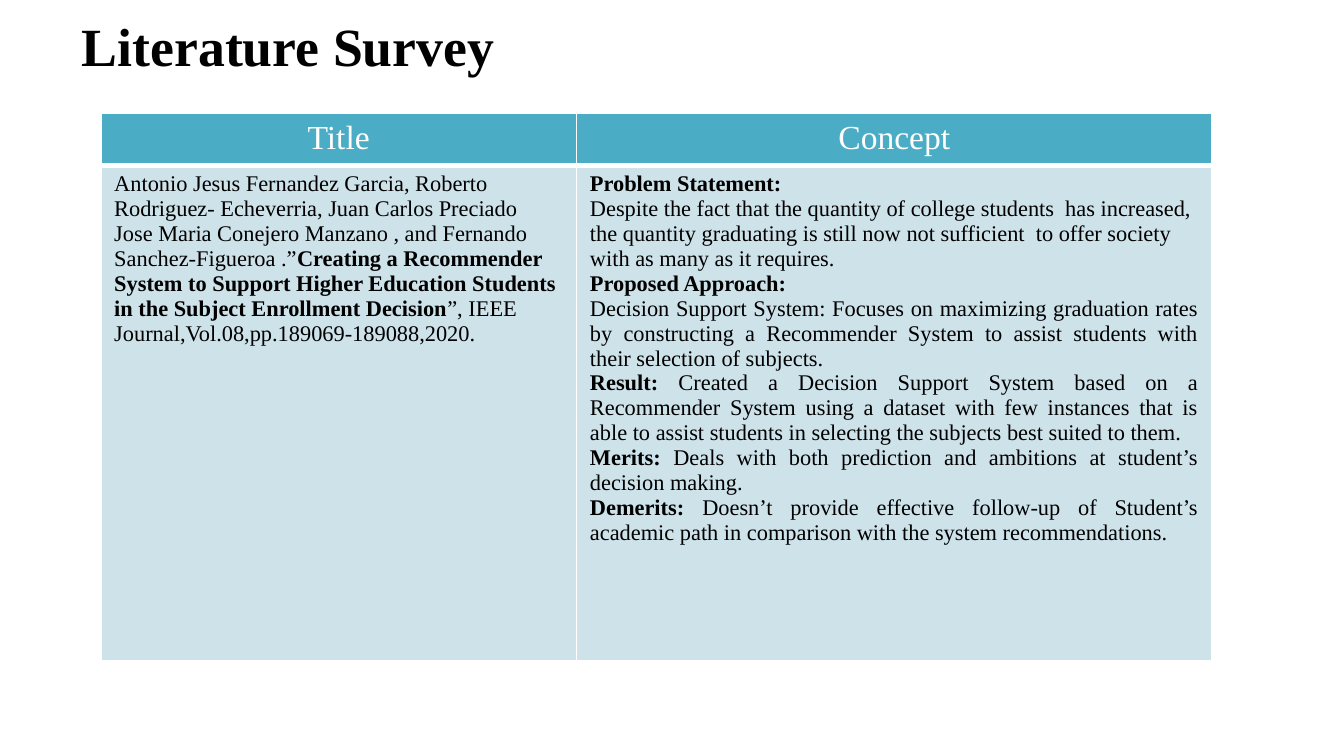
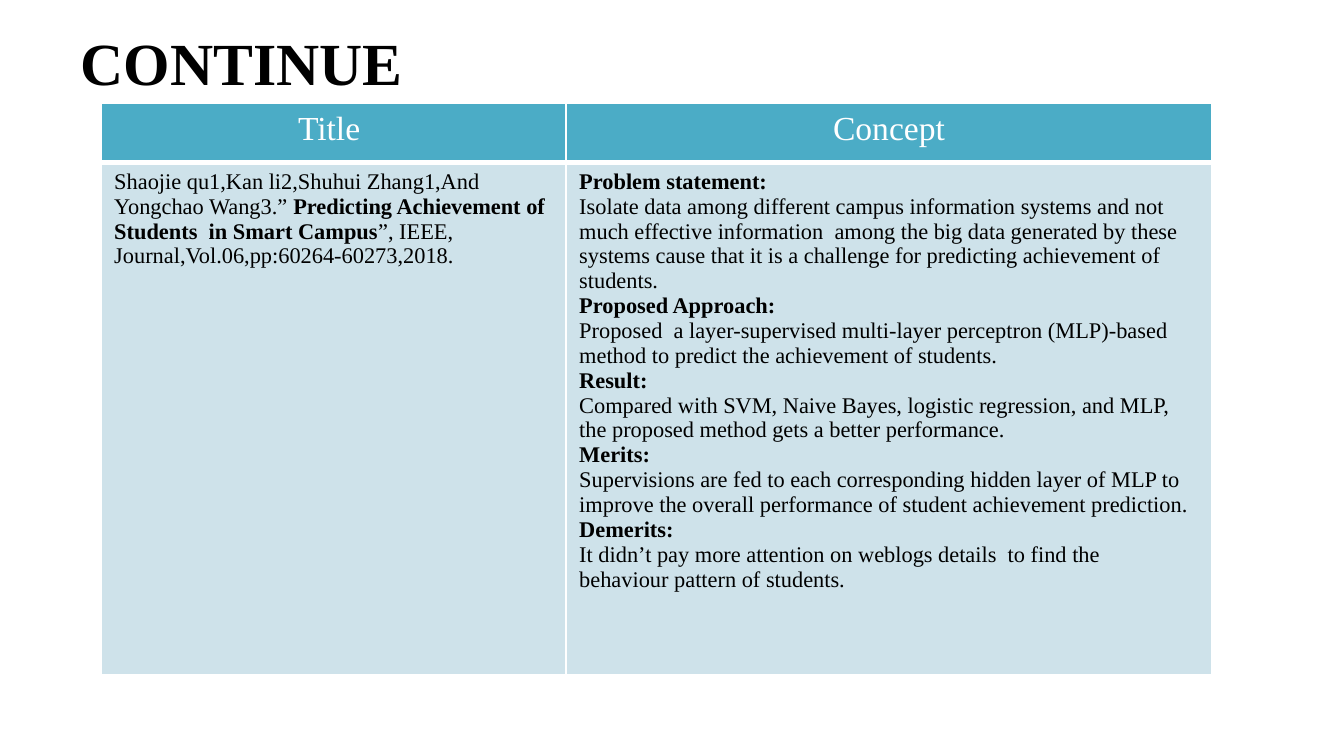
from lxml import etree
from pptx import Presentation
from pptx.dml.color import RGBColor
from pptx.enum import text
from pptx.oxml import ns
from pptx.util import Inches, Pt

FONT = "Times New Roman"
BLACK = RGBColor(0x00, 0x00, 0x00)
WHITE = RGBColor(0xFF, 0xFF, 0xFF)
HEADER_TEAL = RGBColor(0x4B, 0xAC, 0xC6)
BODY_BLUE = RGBColor(0xCE, 0xE2, 0xEA)

TABLE_LEFT, TABLE_WIDTH = 0.75, 8.27

# Text between asterisks is bold; paragraphs from justify_from on are justified
surveys = [
    {
        "heading": "Literature Survey", "heading_size": 28.8,
        "heading_box": (0.51, 0.14, 9, 0.39),
        "table_top": 0.84, "title_width": 3.54, "row_heights": (0.39, 3.69),
        "labels": ["Title", "Concept"],
        "paper": [
            "Antonio Jesus Fernandez Garcia, Roberto Rodriguez- Echeverria, "
            "Juan Carlos Preciado  Jose Maria Conejero Manzano , and Fernando "
            "Sanchez-Figueroa .”*Creating a Recommender System to Support Higher "
            "Education Students in the Subject Enrollment Decision*”, IEEE "
            "Journal,Vol.08,pp.189069-189088,2020.",
        ],
        "concept": [
            "*Problem Statement:*",
            "Despite the fact that the quantity of college students  has increased, "
            "the quantity graduating is still now not sufficient  to offer society "
            "with as many as it requires.",
            "*Proposed Approach:*",
            "Decision Support System: Focuses on maximizing graduation rates by "
            "constructing a Recommender System to assist students with their "
            "selection of subjects.",
            "*Result:* Created a Decision Support System based on a Recommender "
            "System using a dataset with few instances that is able to assist "
            "students in selecting the subjects best suited to them.",
            "*Merits:* Deals with both prediction and ambitions at student’s "
            "decision making.",
            "*Demerits:* Doesn’t provide effective follow-up of Student’s academic "
            "path in comparison with the system recommendations.",
        ],
        "justify_from": 2,
    },
    {
        "heading": "CONTINUE", "heading_size": 32,
        "heading_box": (0.5, 0.23, 9, 0.46),
        "table_top": 0.77, "title_width": 3.46, "row_heights": (0.44, 3.81),
        "labels": ["Title ", "Concept"],
        "paper": [
            "Shaojie qu1,Kan li2,Shuhui Zhang1,And Yongchao Wang3.” *Predicting "
            "Achievement of Students  in Smart Campus*”, IEEE, "
            "Journal,Vol.06,pp:60264-60273,2018.",
        ],
        "concept": [
            "*Problem statement:*",
            "Isolate data among different campus information systems and not much "
            "effective information  among the big data generated by these systems "
            "cause that it is a challenge for predicting achievement of students.",
            "*Proposed Approach:*",
            "Proposed  a layer-supervised multi-layer perceptron (MLP)-based method "
            "to predict the achievement of students.",
            "*Result:*",
            "Compared with SVM, Naive Bayes, logistic regression, and MLP, the "
            "proposed method gets a better performance.",
            "*Merits:*",
            "Supervisions are fed to each corresponding hidden layer of MLP to "
            "improve the overall performance of student achievement prediction.",
            "*Demerits:*",
            "It didn’t pay more attention on weblogs details  to find the  "
            "behaviour pattern of students.",
        ],
        "justify_from": None,
    },
]


def style_font(font, size, color):
    font.name = FONT
    font.size = Pt(size)
    font.color.rgb = color


def style_cell(cell, color, top, bottom):
    """Fill a cell and rule its sides in white; top and bottom are in points."""
    properties = cell._tc.get_or_add_tcPr()
    for side, width in (("lnL", 1), ("lnR", 1), ("lnT", top), ("lnB", bottom)):
        rule = etree.SubElement(properties, ns.qn(f"a:{side}"), w=str(Pt(width)))
        paint = etree.SubElement(rule, ns.qn("a:solidFill"))
        etree.SubElement(paint, ns.qn("a:srgbClr"), val=str(WHITE))
    cell.fill.solid()
    cell.fill.fore_color.rgb = color


prs = Presentation()
prs.slide_width = Inches(10)
prs.slide_height = prs.slide_width * 9 // 16

for survey in surveys:
    slide = prs.slides.add_slide(prs.slide_layouts[5])

    # Slide title
    heading = slide.shapes.title
    heading.left, heading.top, heading.width, heading.height = map(
        Inches, survey["heading_box"])
    heading.text_frame.text = survey["heading"]
    heading.text_frame.auto_size = text.MSO_AUTO_SIZE.NONE
    heading.text_frame.vertical_anchor = text.MSO_ANCHOR.MIDDLE
    heading_line = heading.text_frame.paragraphs[0]
    heading_line.alignment = text.PP_ALIGN.LEFT
    style_font(heading_line.runs[0].font, survey["heading_size"], BLACK)
    heading_line.runs[0].font.bold = True

    # Survey table
    row_heights = survey["row_heights"]
    papers = slide.shapes.add_table(
        2, 2, Inches(TABLE_LEFT), Inches(survey["table_top"]),
        Inches(TABLE_WIDTH), Inches(sum(row_heights))).table
    papers.columns[0].width = Inches(survey["title_width"])
    papers.columns[1].width = Inches(TABLE_WIDTH - survey["title_width"])
    for row, height in zip(papers.rows, row_heights):
        row.height = Inches(height)

    # Header row
    for column, label in enumerate(survey["labels"]):
        cell = papers.cell(0, column)
        style_cell(cell, HEADER_TEAL, 1, 3)
        cell.text_frame.text = label
        label_line = cell.text_frame.paragraphs[0]
        label_line.alignment = text.PP_ALIGN.CENTER
        style_font(label_line.runs[0].font, 18, WHITE)

    # Paper and its concept
    for column, part in enumerate(("paper", "concept")):
        cell = papers.cell(1, column)
        style_cell(cell, BODY_BLUE, 3, 1)
        justify_from = survey["justify_from"]
        for index, content in enumerate(survey[part]):
            frame = cell.text_frame
            paragraph = frame.add_paragraph() if index else frame.paragraphs[0]
            if justify_from is not None and index >= justify_from:
                paragraph.alignment = text.PP_ALIGN.JUSTIFY
            for position, piece in enumerate(content.split("*")):
                if piece:
                    run = paragraph.add_run()
                    run.text = piece
                    style_font(run.font, 12, BLACK)
                    run.font.bold = position % 2 == 1

prs.save("out.pptx")
